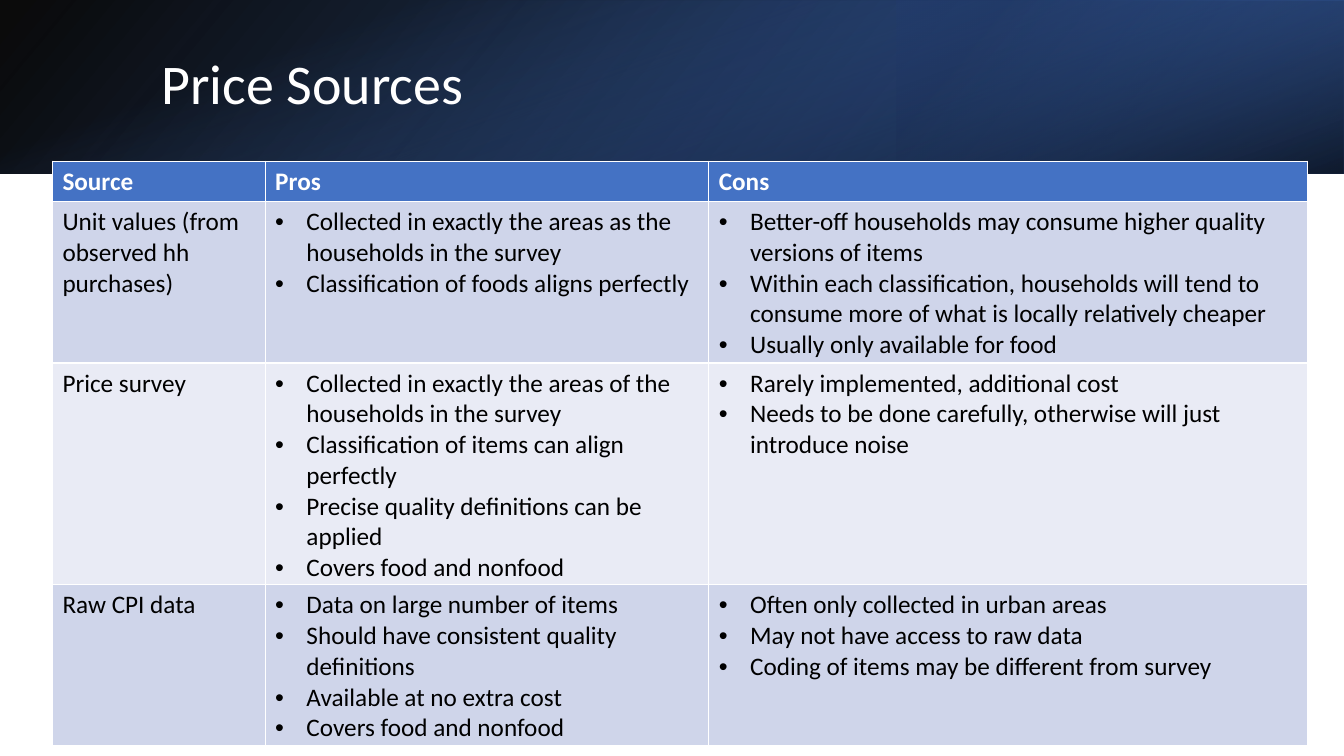
from lxml import etree
from pptx import Presentation
from pptx.dml.color import RGBColor
from pptx.enum import shapes, text
from pptx.oxml import ns
from pptx.util import Inches, Pt

TITLE = "Price Sources"
HEADINGS = ["Source", "Pros", "Cons"]
SOURCES = [
    ("Unit values (from observed hh purchases)",
     ["Collected in exactly the areas as the households in the survey",
      "Classification of foods aligns perfectly"],
     ["Better-off households may consume higher quality versions of items",
      "Within each classification, households will tend to consume more of "
      "what is locally relatively cheaper",
      "Usually only available for food"]),
    ("Price survey",
     ["Collected in exactly the areas of the households in the survey",
      "Classification of items can align perfectly",
      "Precise quality definitions can be applied",
      "Covers food and nonfood"],
     ["Rarely implemented, additional cost",
      "Needs to be done carefully, otherwise will just introduce noise"]),
    ("Raw CPI data",
     ["Data on large number of items",
      "Should have consistent quality definitions",
      "Available at no extra cost",
      "Covers food and nonfood"],
     ["Often only collected in urban areas",
      "May not have access to raw data",
      "Coding of items may be different from survey"]),
]
COLUMN_WIDTHS = [2.11, 4.4, 5.94]
ROW_HEIGHTS = [0.36, 1.26, 1.71, 1.26]
HEADER_FILL, BAND_FILLS = "4472C4", ["CFD5EA", "E9EBF5"]
INDENT = 0.31

# box, rotation, flipped, gradient angle, stops (position %, colour, opacity %)
BANNER = [
    ((0, 0, 13.33, 1.72), 0, True, 140,
     [(0, "000000", 96), (100, "2F5597", 100)]),
    ((8.89, 0, 4.44, 1.72), 180, True, 320,
     [(19, "203864", 68), (100, "4472C4", 79)]),
    ((5.8, -5.8, 1.72, 13.33), 90, False, 340,
     [(23, "4472C4", 0), (99, "000000", 74)]),
]


def color(hex_value):
    return RGBColor.from_string(hex_value)


def add_xml(parent, tag, **attributes):
    values = {name: str(value) for name, value in attributes.items()}
    return etree.SubElement(parent, ns.qn(tag), values)


def add_banner_layer(slide, box, rotation, flipped, angle, stops):
    shape = slide.shapes.add_shape(shapes.MSO_SHAPE.RECTANGLE, *map(Inches, box))
    shape.shadow.inherit = False
    shape.line.fill.background()
    shape.rotation = rotation
    properties = shape.element.spPr
    if flipped:
        properties.xfrm.set("flipH", "1")
    gradient = add_xml(properties, "a:gradFill", rotWithShape=1)
    stop_list = add_xml(gradient, "a:gsLst")
    for position, hex_value, opacity in stops:
        stop = add_xml(stop_list, "a:gs", pos=position * 1000)
        stop_color = add_xml(stop, "a:srgbClr", val=hex_value)
        add_xml(stop_color, "a:alpha", val=opacity * 1000)
    add_xml(gradient, "a:lin", ang=angle * 60000, scaled=0)
    properties.find(ns.qn("a:prstGeom")).addnext(gradient)


def write(frame, lines, size, hex_value, bold=False, bulleted=False):
    for index, line in enumerate(lines):
        paragraph = frame.add_paragraph() if index else frame.paragraphs[0]
        run = paragraph.add_run()
        run.text = line
        font_format = {"name": "Calibri", "size": Pt(size), "bold": bold}
        for name, value in font_format.items():
            setattr(run.font, name, value)
        run.font.color.rgb = color(hex_value)
        if bulleted:
            properties = paragraph._p.get_or_add_pPr()
            properties.set("marL", str(Inches(INDENT)))
            properties.set("indent", str(-Inches(INDENT)))
            add_xml(properties, "a:buFont", typeface="Arial")
            add_xml(properties, "a:buChar", char="•")


def add_title(slide):
    box = slide.shapes.add_textbox(*map(Inches, (1.5, 0.38, 10.98, 0.96)))
    frame = box.text_frame
    frame.word_wrap = True
    frame.vertical_anchor = text.MSO_ANCHOR.MIDDLE
    write(frame, [TITLE], 40, "FFFFFF")
    frame.paragraphs[0].line_spacing = 0.9


def add_source_table(slide):
    rows = [HEADINGS, *SOURCES]
    table = slide.shapes.add_table(
        len(rows), len(HEADINGS), Inches(0.52), Inches(1.6),
        Inches(sum(COLUMN_WIDTHS)), Inches(sum(ROW_HEIGHTS))).table
    for column, width in zip(table.columns, COLUMN_WIDTHS):
        column.width = Inches(width)
    for row, height in zip(table.rows, ROW_HEIGHTS):
        row.height = Inches(height)
    for row_index, row in enumerate(rows):
        header = row_index == 0
        fill = HEADER_FILL if header else BAND_FILLS[(row_index - 1) % 2]
        for column_index, content in enumerate(row):
            cell = table.cell(row_index, column_index)
            cell.fill.solid()
            cell.fill.fore_color.rgb = color(fill)
            bulleted = isinstance(content, list)
            write(cell.text_frame, content if bulleted else [content], 18,
                  "FFFFFF" if header else "000000", header, bulleted)


def main():
    presentation = Presentation()
    presentation.slide_width = Inches(13.33)
    presentation.slide_height = Inches(7.5)
    slide = presentation.slides.add_slide(presentation.slide_layouts[6])
    for layer in BANNER:
        add_banner_layer(slide, *layer)
    add_title(slide)
    add_source_table(slide)
    presentation.save("out.pptx")


if __name__ == "__main__":
    main()
